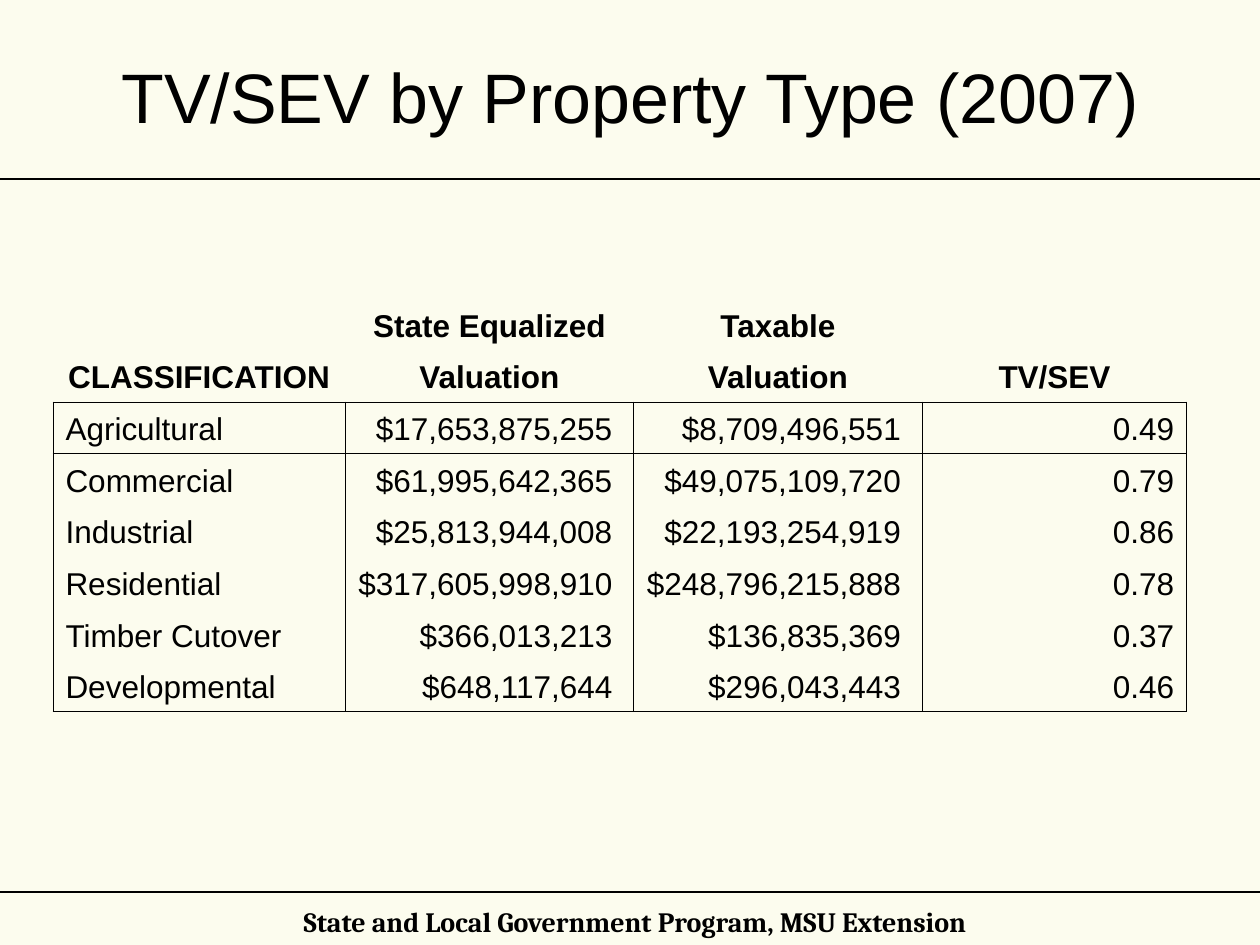
from lxml.etree import SubElement
from pptx import Presentation
from pptx.dml.color import RGBColor
from pptx.enum.shapes import MSO_CONNECTOR
from pptx.enum.text import MSO_ANCHOR, PP_ALIGN
from pptx.oxml.ns import qn
from pptx.util import Inches, Pt


def color(code):
    return RGBColor.from_string(code)


def style(par, size, name, align, bold=False):
    par.alignment = align
    par.font.size = Pt(size)
    par.font.name = name
    par.font.bold = bold
    par.font.color.rgb = color("000000")


prs = Presentation()
prs.slide_width, prs.slide_height = Inches(10), Inches(7.5)
slide = prs.slides.add_slide(prs.slide_layouts[6])
slide.background.fill.solid()
slide.background.fill.fore_color.rgb = color("FCFCEE")

# Rules under the title and above the footer
for y in (1.42, 7.08):
    rule = slide.shapes.add_connector(
        MSO_CONNECTOR.STRAIGHT, 0, Inches(y), Inches(10), Inches(y))
    rule.line.color.rgb = color("000000")
    rule.line.width = Pt(1.25)
    SubElement(rule._element.spPr, qn("a:effectLst"))

# Title and footer
for text, left, top, width, height, pad, size, name, bold in (
    ("TV/SEV by Property Type (2007)", 0.5, 0.17, 9, 1.17,
     (0.1, 0.05), 40, "Arial", False),
    ("State and Local Government Program, MSU Extension", 1, 7.17, 8.08, 0.29,
     (0.02, 0.01), 16, "Cambria", True),
):
    box = slide.shapes.add_textbox(
        Inches(left), Inches(top), Inches(width), Inches(height))
    frame = box.text_frame
    frame.word_wrap = True
    frame.vertical_anchor = MSO_ANCHOR.MIDDLE
    frame.margin_left = frame.margin_right = Inches(pad[0])
    frame.margin_top = frame.margin_bottom = Inches(pad[1])
    frame.text = text
    style(frame.paragraphs[0], size, name, PP_ALIGN.CENTER, bold)

# Table of valuations
rows = [
    ("", "State Equalized", "Taxable", ""),
    ("CLASSIFICATION", "Valuation", "Valuation", "TV/SEV"),
    ("Agricultural", "$17,653,875,255", "$8,709,496,551", "0.49"),
    ("Commercial", "$61,995,642,365", "$49,075,109,720", "0.79"),
    ("Industrial", "$25,813,944,008", "$22,193,254,919", "0.86"),
    ("Residential", "$317,605,998,910", "$248,796,215,888", "0.78"),
    ("Timber Cutover", "$366,013,213", "$136,835,369", "0.37"),
    ("Developmental", "$648,117,644", "$296,043,443", "0.46"),
]
heads = 2
last = len(rows) - 1
grid = slide.shapes.add_table(
    len(rows), 4, Inches(0.42), Inches(1.92), Inches(9), Inches(3.7))
table = grid.table
table.first_row = table.horz_banding = False
# Plain style: no fill, no grid
table._tbl.tblPr.find(qn("a:tableStyleId")).text = (
    "{2D5ABB26-0587-4C30-8999-92F81FD0307C}")
for col, width in zip(table.columns, (2.32, 2.29, 2.29, 2.1)):
    col.width = Inches(width)

for r, row in enumerate(rows):
    table.rows[r].height = Inches(0.86 if r == 0 else 0.41)
    body = r >= heads
    # Box each body column, without lines between its rows
    sides = ["lnL", "lnR"] if body else []
    if r == heads:
        sides.append("lnT")
    if r in (heads - 1, last):
        sides.append("lnB")
    for c, text in enumerate(row):
        cell = table.cell(r, c)
        cell.text = text
        cell.vertical_anchor = MSO_ANCHOR.BOTTOM
        if not body:
            align = PP_ALIGN.CENTER
        elif c == 0:
            align = PP_ALIGN.LEFT
        else:
            align = PP_ALIGN.RIGHT
        if body and c in (1, 2):
            cell.margin_left, cell.margin_right = Inches(0.05), Inches(0.17)
        style(cell.text_frame.paragraphs[0], 18, "Arial", align, not body)
        for side in sides:
            edge = SubElement(cell._tc.get_or_add_tcPr(), qn(f"a:{side}"),
                              w=str(Pt(0.45)))
            fill = SubElement(edge, qn("a:solidFill"))
            SubElement(fill, qn("a:srgbClr"), val="000000")
        cell.fill.background()

prs.save("out.pptx")
